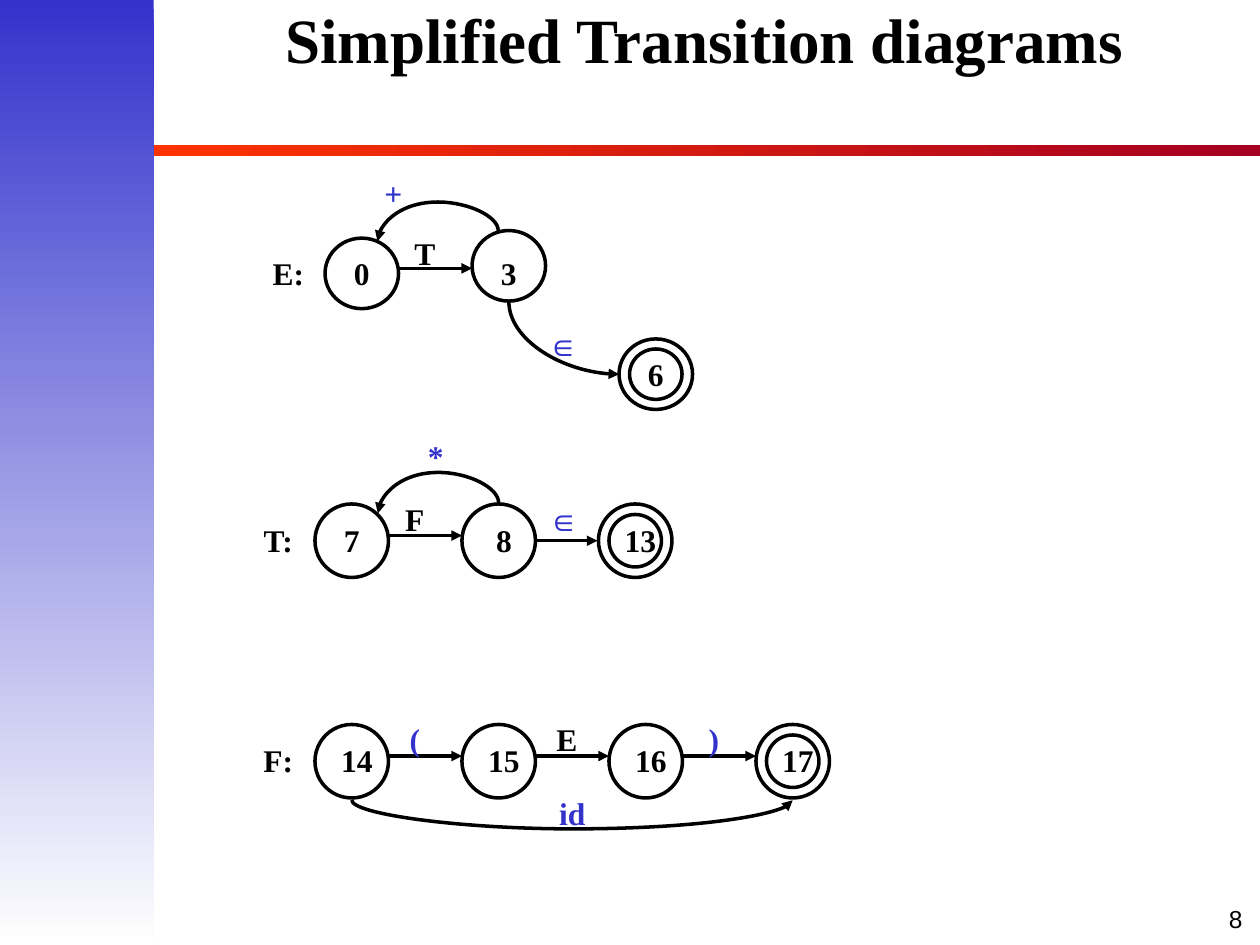
from lxml import etree
from pptx import Presentation, util as u
from pptx.dml.color import RGBColor
from pptx.enum import shapes, text
from pptx.oxml.ns import qn

BLACK = RGBColor(0x00, 0x00, 0x00)
BLUE = RGBColor(0x33, 0x33, 0xCC)
WHITE = RGBColor(0xFF, 0xFF, 0xFF)
ORANGE = RGBColor(0xFF, 0x33, 0x00)
CRIMSON = RGBColor(0xA5, 0x00, 0x21)
SERIF = "Times New Roman"
COL = 1 / 12
STATE = 7
HAIR = 0.002


def style(p, size, color, font, bold, align):
    p.alignment = align
    for r in p.runs:
        r.font.size, r.font.name, r.font.bold = u.Pt(size), font, bold
        r.font.color.rgb = color


def gradient_bar(s, box, colors, angle):
    sp = s.shapes.add_shape(shapes.MSO_SHAPE.RECTANGLE, *map(u.Inches, box))
    sp.shadow.inherit = False
    sp.line.fill.background()
    sp.fill.gradient()
    sp.fill.gradient_angle = angle
    for stop, color in zip(sp.fill.gradient_stops, colors):
        stop.color.rgb = color


def text_box(s, box, words, size, color, font, bold, align):
    sp = s.shapes.add_textbox(*map(u.Inches, box))
    tf = sp.text_frame
    tf.word_wrap = True
    tf.text = words
    style(tf.paragraphs[0], size, color, font, bold, align)
    return tf


def arrow(s, kind, x1, y1, x2, y2):
    c = s.shapes.add_connector(kind, *map(u.Inches, (x1, y1, x2, y2)))
    c.line.color.rgb = BLACK
    c.line.width = u.Pt(2)
    etree.SubElement(c.line._get_or_add_ln(), qn("a:tailEnd"), type="triangle")
    etree.SubElement(c._element.spPr, qn("a:effectLst"))
    return c


def curve(s, x1, y1, x2, y2, peak=None):
    w, h = max(abs(y2 - y1), HAIR), abs(x2 - x1)
    left, top = (x1 + x2 - w) / 2, (y1 + y2 - h) / 2
    c = arrow(s, shapes.MSO_CONNECTOR.CURVE, left, top, left + w, top + h)
    spPr = c._element.spPr
    xfrm = spPr.find(qn("a:xfrm"))
    xfrm.set("rot", "16200000")
    xfrm.set("flipH", "1")
    if x2 < x1:
        xfrm.set("flipV", "1")
    geom = spPr.find(qn("a:prstGeom"))
    geom.set("prst", "curvedConnector2" if peak is None else "curvedConnector3")
    if peak is not None:
        av = geom.find(qn("a:avLst"))
        bend = round((peak - y1) / w * 100000)
        etree.SubElement(av, qn("a:gd"), name="adj1", fmla=f"val {bend}")


def diagram(s, left, top, row, name, states, labels, lines, curves):
    def x(c):
        return left + c * COL

    def y(r):
        return top + r * row

    def label(c, r, w, words, color=BLACK):
        text_box(s, (x(c), y(r), w * COL, 4.75 * row), words, 18, color,
                 SERIF, True, text.PP_ALIGN.CENTER)

    def ring(c, r, size):
        sp = s.shapes.add_shape(shapes.MSO_SHAPE.OVAL, *map(
            u.Inches, (x(c), y(r), size * COL, size * row)))
        sp.shadow.inherit = False
        sp.fill.background()
        sp.line.color.rgb = BLACK
        sp.line.width = u.Pt(2)

    label(-7, 1, 7, name)
    for c, r, label_row, w, number, final in states:
        ring(c, r, STATE)
        if final:
            ring(c + 1, r + 1, STATE - 2)
        label(c + 1, label_row, w, number)
    for c1, c2, r in lines:
        arrow(s, shapes.MSO_CONNECTOR.STRAIGHT, x(c1), y(r), x(c2), y(r))
    for c1, r1, c2, r2, peak in curves:
        curve(s, x(c1), y(r1), x(c2), y(r2), None if peak is None else y(peak))
    for item in labels:
        label(*item)


def frame(s, width, height, title, number):
    side = 0.122 * width
    gradient_bar(s, (0.12 * width, 1.15, 0.88 * width, 0.09), (ORANGE, CRIMSON), 0)
    gradient_bar(s, (0, 0, side, height), (BLUE, WHITE), 270)
    tf = text_box(s, (7.88, 7.1, 2.08, 0.38), number, 14, BLACK, "Arial",
                  False, text.PP_ALIGN.RIGHT)
    tf.vertical_anchor = text.MSO_ANCHOR.MIDDLE
    sp = s.shapes.title
    sp.left, sp.top, sp.width, sp.height = map(
        u.Inches, (1.18, 0, 0.882 * width, 1.22))
    tf = sp.text_frame
    tf.text = title
    tf.vertical_anchor = text.MSO_ANCHOR.TOP
    tf.margin_top = u.Inches(0.12)
    p = tf.paragraphs[0]
    p.line_spacing = 0.8
    style(p, 36, BLACK, SERIF, True, text.PP_ALIGN.CENTER)


prs = Presentation()
prs.slide_width, prs.slide_height = u.Inches(10), u.Inches(7.5)
s = prs.slides.add_slide(prs.slide_layouts[5])
frame(s, 10, 7.5, "Simplified Transition diagrams", "8")

diagram(s, 2.5, 4, COL, "T:",
        [(0, 0, 1, 5, "7", False), (14, 0, 1, 6, "8", False),
         (27, 0, 1, 6, "13", True)],
        [(9, -7, 5, "*", BLUE), (7, -1, 5, "F"), (21, -1, 5, "∈", BLUE)],
        [(7, 14, 3), (21.1, 26.9, 3.5)],
        [(17.5, -0.1, 6, 0.9, -3)])
diagram(s, 2.5, 5.75, COL, "F:",
        [(14 * i, 0, 1, 6, str(14 + i), i == 3) for i in range(4)],
        [(7, -1, 5, "(", BLUE), (21, -1, 6, "E"), (35, -1, 6, ")", BLUE),
         (22, 6, 5, "id", BLUE)],
        [(14 * i + 7, 14 * i + 14, 3) for i in range(3)],
        [(3.5, 7.2, 45.5, 7.2, 10)])
diagram(s, 2.58, 1.89, 0.08, "E:",
        [(0, 0, 1, 5, "0", False), (14, -0.75, 1, 5, "3", False),
         (28, 10, 11, 5, "6", True)],
        [(4, -7, 5, "+", BLUE), (7, -1, 5, "T"), (20, 8, 5, "∈", BLUE)],
        [(7, 14, 3)],
        [(16.5, -0.75, 5, 0.3, -3.6), (17.5, 6.3, 28, 13.5, None)])

prs.save("out.pptx")
